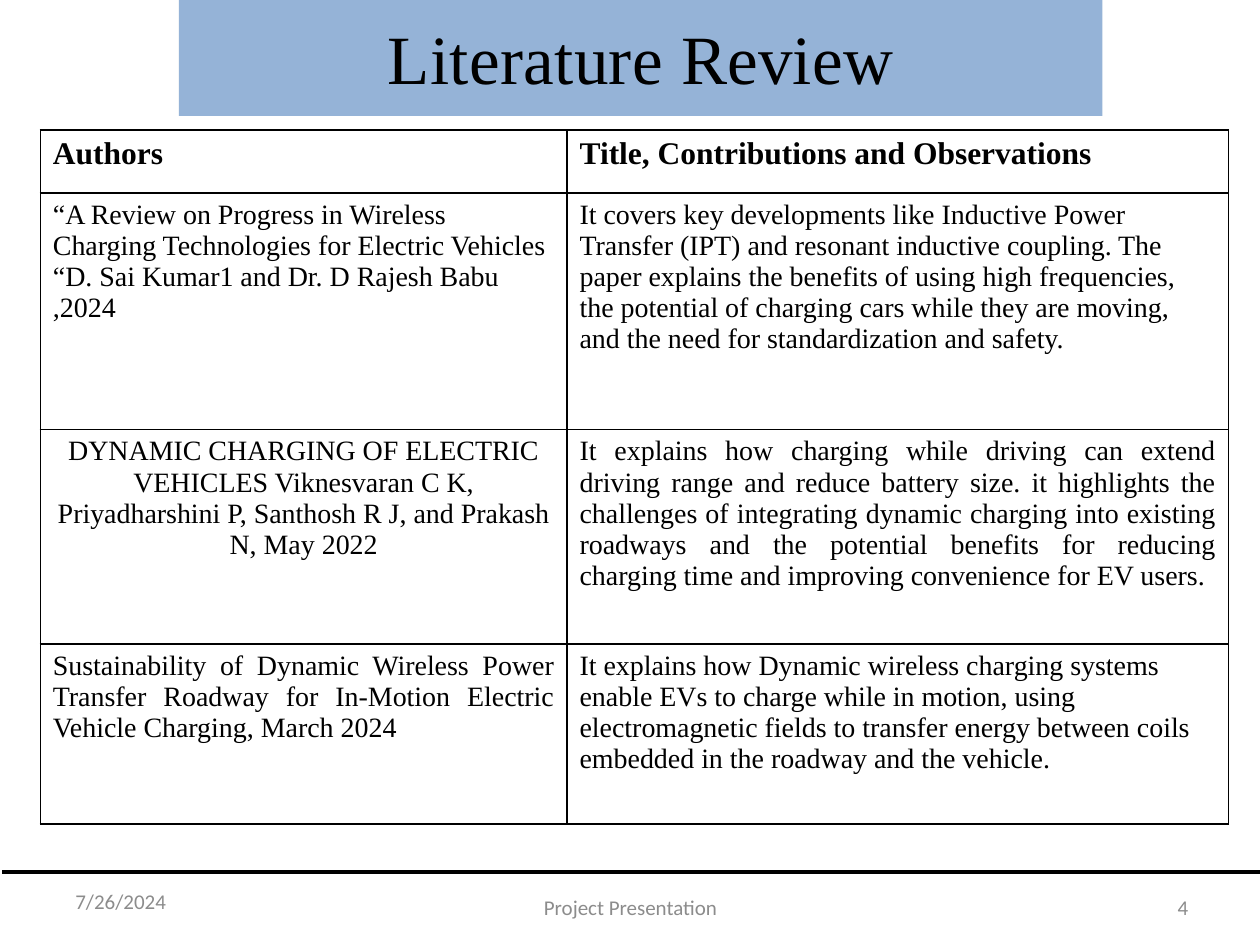
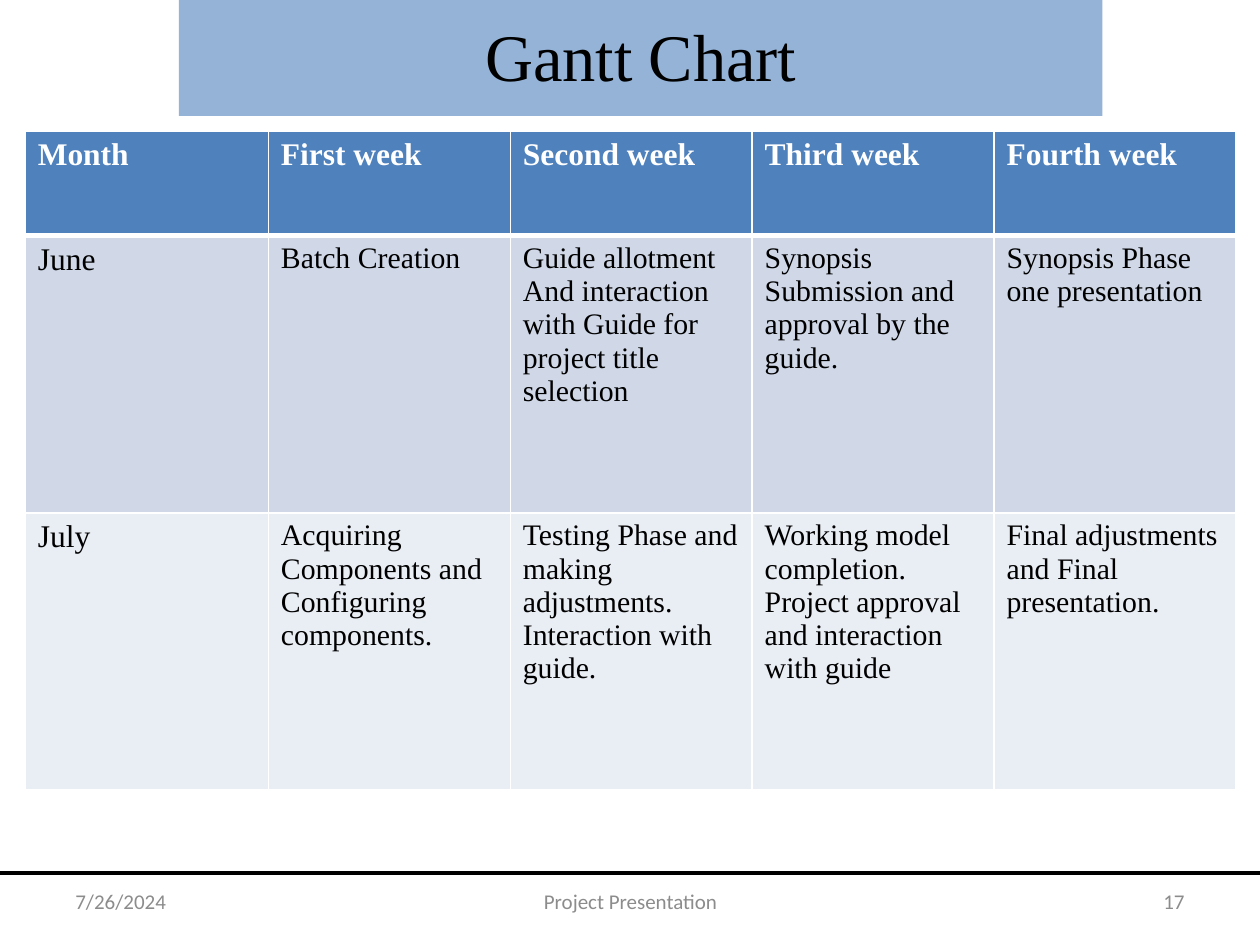
from lxml import etree
from pptx import Presentation
from pptx import util as u
from pptx.dml.color import RGBColor
from pptx.enum import shapes, text
from pptx.oxml import ns

COLORS = {
    "band": "95B3D7", "ink": "000000", "paper": "FFFFFF", "footer": "8C8C8C",
    "header": "4F81BD", "odd": "D0D8E8", "even": "E9EDF4",
}
LEFT, CENTER, RIGHT, JUSTIFY = (
    text.PP_ALIGN.LEFT, text.PP_ALIGN.CENTER, text.PP_ALIGN.RIGHT, text.PP_ALIGN.JUSTIFY)
SERIF = "Times New Roman"
FOOTER_FORMAT = {"name": "Calibri", "size": 12, "bold": False, "color": "footer"}
BAND = (1.42, 0, 7.33, 0.92)

SLIDES = [
    {
        "title": [("Literature ", 20), ("Review", 10)],
        "title_size": 39.5,
        "footers": [
            ("7/26/2024", (0.5, 6.95, 2.33, 0.4), LEFT),
            ("Project Presentation", (3.42, 7, 3.17, 0.4), CENTER),
            ("4", (7.2, 7, 2.33, 0.4), RIGHT),
        ],
        "rule": (0.02, 10.01, 6.92),
        "table": {
            "origin": (0.32, 1.03),
            "columns": [4.18, 5.25],
            "heights": [0.5, 1.88, 1.7, 1.43],
            "fills": ["paper"] * 4,
            "border": "ink",
            "header_rule": 1,
            "header_ink": "ink",
            "label_size": 16,
            "body_size": 16,
            "alignments": {(2, 0): CENTER, (2, 1): JUSTIFY, (3, 0): JUSTIFY},
            "rows": [
                ["Authors", "Title, Contributions and Observations"],
                ["“A Review on Progress in Wireless Charging Technologies for Electric Vehicles "
                 "“D. Sai Kumar1 and Dr. D Rajesh Babu ,2024",
                 "It covers key developments like Inductive Power Transfer (IPT) and resonant "
                 "inductive coupling. The paper explains the benefits of using high frequencies, "
                 "the potential of charging cars while they are moving, and the need for "
                 "standardization and safety."],
                ["DYNAMIC CHARGING OF ELECTRIC\nVEHICLES Viknesvaran C K, Priyadharshini P, "
                 "Santhosh R J, and Prakash N, May 2022",
                 "It explains how charging while driving can extend driving range and reduce "
                 "battery size. it highlights the challenges of integrating dynamic charging into "
                 "existing roadways and the potential benefits for reducing charging time and "
                 "improving convenience for EV users."],
                ["Sustainability of Dynamic Wireless Power Transfer Roadway for In-Motion "
                 "Electric Vehicle Charging, March 2024",
                 "It explains how Dynamic wireless charging systems enable EVs to charge while in "
                 "motion, using electromagnetic fields to transfer energy between coils embedded "
                 "in the roadway and the vehicle."],
            ],
        },
    },
    {
        "title": [("Gantt Chart", -10)],
        "title_size": 38,
        "footers": [
            ("7/26/2024", (0.5, 6.95, 2.33, 0.4), LEFT),
            ("Project Presentation", (3.42, 6.95, 3.17, 0.4), CENTER),
            ("17", (7.17, 6.95, 2.33, 0.4), RIGHT),
        ],
        "rule": (0, 10, 6.93),
        "table": {
            "origin": (0.2, 1.04),
            "columns": [1.93] + [1.92] * 4,
            "heights": [0.83, 2.2, 2.2],
            "fills": ["header", "odd", "even"],
            "border": "paper",
            "header_rule": 3,
            "header_ink": "paper",
            "label_size": 18,
            "body_size": 17,
            "alignments": {},
            "rows": [
                ["Month", "First week", "Second week", "Third week", "Fourth week"],
                ["June", "Batch Creation",
                 "Guide allotment\nAnd interaction with Guide for project title selection",
                 "Synopsis Submission and approval by the guide.",
                 "Synopsis Phase one presentation"],
                ["July", "Acquiring Components and Configuring components.",
                 "Testing Phase and making adjustments.\nInteraction with guide.",
                 "Working model completion.\nProject approval and interaction with guide",
                 "Final adjustments and Final presentation."],
            ],
        },
    },
]


def rgb(name):
    return RGBColor.from_string(COLORS[name])


def inches(values):
    return [u.Inches(value) for value in values]


def set_all(target, values):
    for name, value in values.items():
        setattr(target, name, value)


def format_font(font, values):
    set_all(font, {"name": values["name"], "size": u.Pt(values["size"]),
                   "bold": values["bold"]})
    font.color.rgb = rgb(values["color"])


def write(frame, content, values, alignment):
    frame.text = content
    for paragraph in frame.paragraphs:
        paragraph.alignment = alignment
        for run in paragraph.runs:
            format_font(run.font, values)


def add_title(slide, runs, size):
    title = slide.shapes.title
    set_all(title, dict(zip(("left", "top", "width", "height"), inches(BAND))))
    title.fill.solid()
    title.fill.fore_color.rgb = rgb("band")
    set_all(title.text_frame, {
        "auto_size": text.MSO_AUTO_SIZE.NONE, "word_wrap": True,
        "vertical_anchor": text.MSO_ANCHOR.TOP, "margin_top": u.Inches(0.12)})
    paragraph = title.text_frame.paragraphs[0]
    paragraph.alignment = CENTER
    for content, spacing in runs:
        run = paragraph.add_run()
        run.text = content
        format_font(run.font, {"name": SERIF, "size": size, "bold": False, "color": "ink"})
        run.font._element.set("spc", str(spacing))


def add_footers(slide, footers, rule):
    for content, box, alignment in footers:
        frame = slide.shapes.add_textbox(*inches(box)).text_frame
        set_all(frame, {"word_wrap": True, "vertical_anchor": text.MSO_ANCHOR.MIDDLE})
        write(frame, content, FOOTER_FORMAT, alignment)
    start, end, height = rule
    line = slide.shapes.add_connector(
        shapes.MSO_CONNECTOR.STRAIGHT, *inches((start, height, end, height)))
    line.line.color.rgb = rgb("ink")
    line.line.width = u.Pt(2.25)
    etree.SubElement(line._element.spPr, ns.qn("a:effectLst"))


def set_borders(cell, color, widths):
    properties = cell._tc.get_or_add_tcPr()
    for index, (side, width) in enumerate(widths.items()):
        border = etree.Element(ns.qn(f"a:ln{side}"), w=str(u.Pt(width)))
        fill = etree.SubElement(border, ns.qn("a:solidFill"))
        etree.SubElement(fill, ns.qn("a:srgbClr"), val=COLORS[color])
        properties.insert(index, border)


def add_grid(slide, data):
    rows, columns, heights = data["rows"], data["columns"], data["heights"]
    frame = slide.shapes.add_table(
        len(rows), len(columns),
        *inches((*data["origin"], sum(columns), sum(heights))))
    table = frame.table
    set_all(table, {"first_row": False, "horz_banding": False})
    for column, width in zip(table.columns, columns):
        column.width = u.Inches(width)
    for row, height in zip(table.rows, heights):
        row.height = u.Inches(height)
    for row_index, row in enumerate(rows):
        header = row_index == 0
        for column_index, content in enumerate(row):
            cell = table.cell(row_index, column_index)
            cell.fill.solid()
            cell.fill.fore_color.rgb = rgb(data["fills"][row_index])
            set_borders(cell, data["border"], {
                "L": 1, "R": 1,
                "T": data["header_rule"] if row_index == 1 else 1,
                "B": data["header_rule"] if header else 1})
            size = data["label_size"] if column_index == 0 else data["body_size"]
            values = {"name": SERIF, "size": 18 if header else size, "bold": header,
                      "color": data["header_ink"] if header else "ink"}
            alignment = data["alignments"].get((row_index, column_index), LEFT)
            write(cell.text_frame, content, values, alignment)


def main():
    presentation = Presentation()
    set_all(presentation, {"slide_width": u.Inches(10), "slide_height": u.Inches(7.5)})
    for content in SLIDES:
        slide = presentation.slides.add_slide(presentation.slide_layouts[5])
        add_title(slide, content["title"], content["title_size"])
        add_footers(slide, content["footers"], content["rule"])
        add_grid(slide, content["table"])
    presentation.save("out.pptx")


if __name__ == "__main__":
    main()
